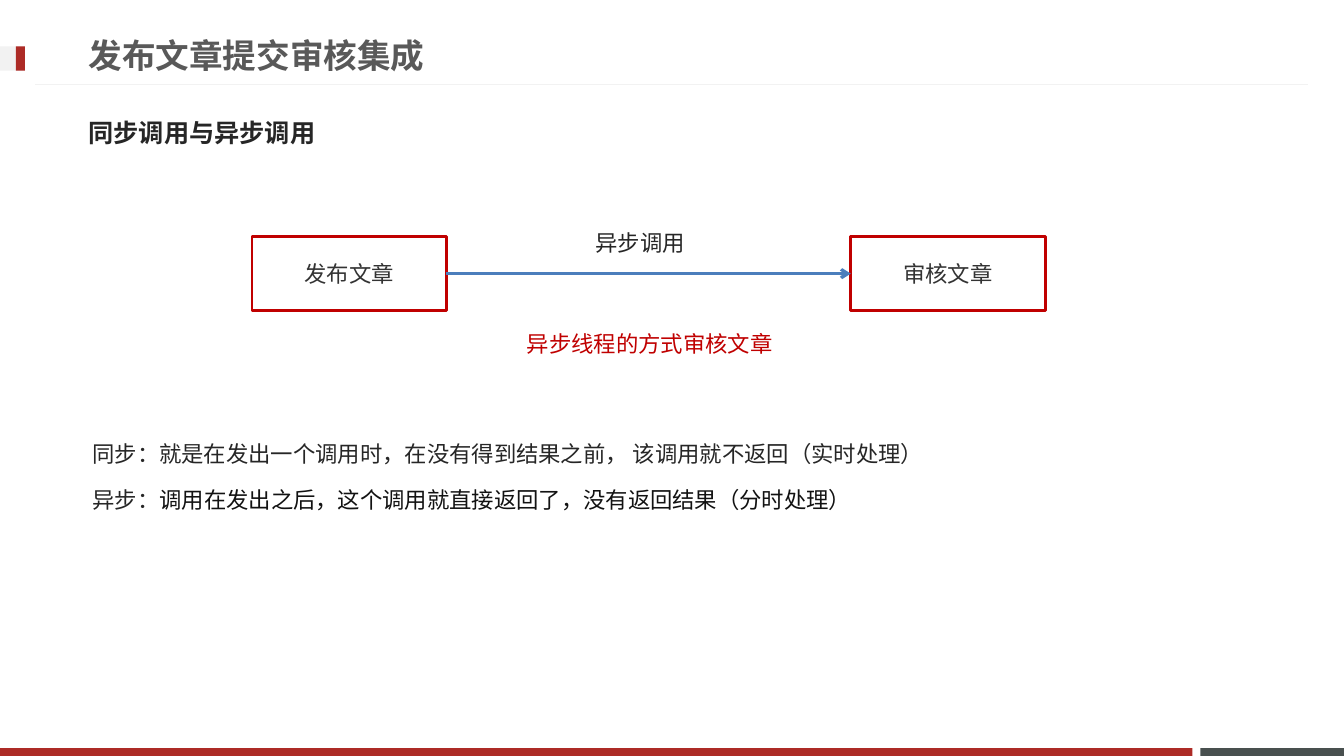
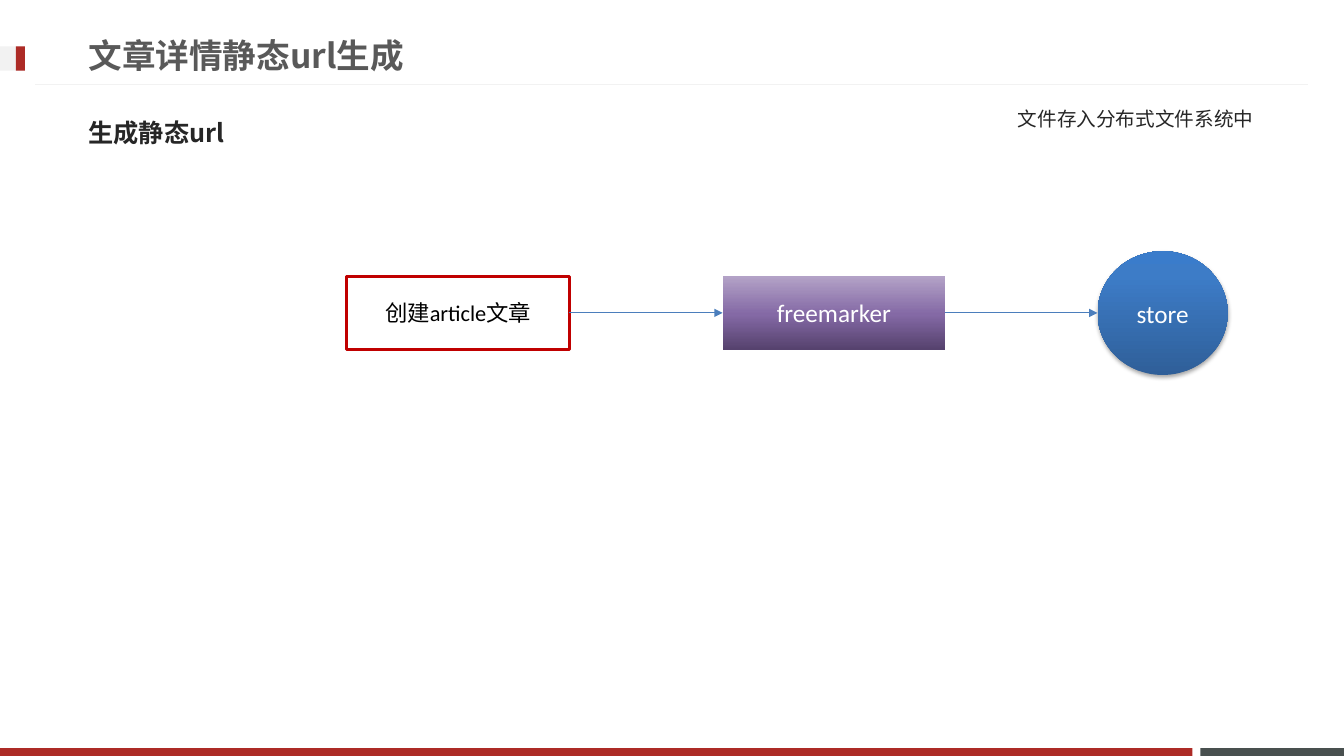
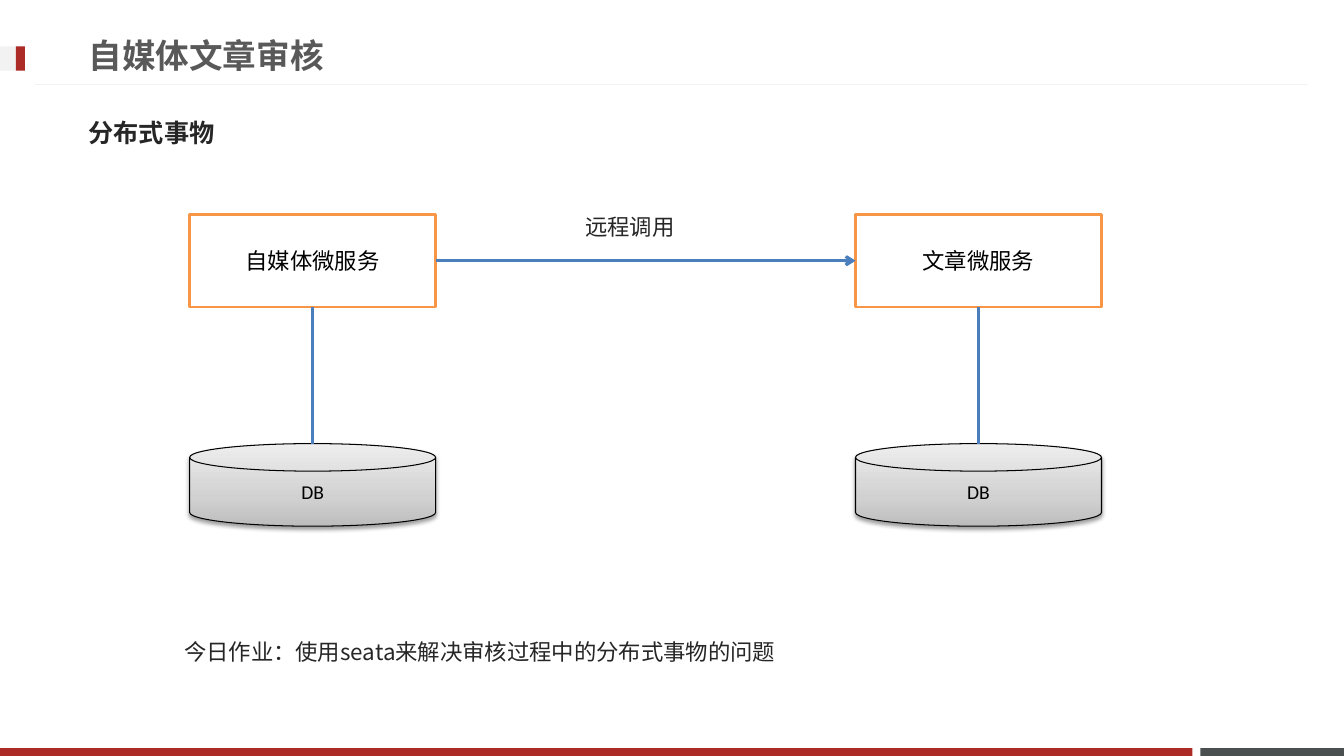
from lxml import etree
from pptx import Presentation
from pptx import util as u
from pptx.dml.color import RGBColor
from pptx.enum import dml, lang, shapes, text
from pptx.oxml.ns import qn

NOTO, CALI = "Noto Sans CJK JP", "Calibri"
RED, SLATE, PALE = "AD2B26", "49504F", "F2F2F2"
INK, BLUE, CRIMSON, ORANGE = "262626", "4B7EBC", "C00000", "F79646"
WHITE, BLACK = "FFFFFF", "000000"
PURPLE = [(0, "56426E"), (48, "8469A5"), (100, "B3A2C7")]
AZURE = [(0, "2F5F99"), (80, "3D7CC7"), (100, "3A7CCB")]
SILVER = [(0, "BDBDBD"), (35, "D1D1D1"), (100, "EEEEEE")]
RECT = shapes.MSO_SHAPE.RECTANGLE
OVAL = shapes.MSO_SHAPE.OVAL
DISK = shapes.MSO_SHAPE.FLOWCHART_MAGNETIC_DISK


def rgb(code):
    return RGBColor.from_string(code)


def node(parent, tag, **attrs):
    return etree.SubElement(parent, qn(tag), attrs)


def style(run, size, color, face=NOTO, bold=False):
    font = run.font
    font.size, font.bold, font.name = u.Pt(size), bold, face
    font.color.rgb = rgb(color)
    font.language_id = lang.MSO_LANGUAGE_ID.SIMPLIFIED_CHINESE
    east = etree.Element(qn("a:ea"), typeface=NOTO)
    run._r.rPr.find(qn("a:latin")).addnext(east)


def write(slide, place, lines, size=16, color=INK, bold=False, loose=True):
    """Add a text box: loose lines from the top, or tight ones in the middle."""
    box = slide.shapes.add_textbox(*map(u.Cm, place))
    frame = box.text_frame
    frame.word_wrap = True
    frame.text = lines
    if not loose:
        frame.vertical_anchor = text.MSO_ANCHOR.MIDDLE
    for para in frame.paragraphs:
        if loose:
            para.line_spacing = u.Pt(round(size * 1.83, 1))
            para.space_after = u.Pt(size * 0.2)
        for run in para.runs:
            style(run, size, color, bold=bold)
    return frame


def blend(shape, stops):
    """Fill with a gradient that runs from bottom to top."""
    shape.fill.gradient()
    shape.fill.gradient_angle = 90
    chain = shape._element.spPr.find(".//" + qn("a:gsLst"))
    for old in list(chain):
        chain.remove(old)
    for place, color in stops:
        stop = node(chain, "a:gs", pos=str(place * 1000))
        node(stop, "a:srgbClr", val=color)


def shade(shape, alpha):
    effects = shape._element.spPr.find(qn("a:effectLst"))
    cast = node(effects, "a:outerShdw", blurRad=str(u.Pt(3.1)),
                dist=str(u.Pt(1.7)), dir="5400000", rotWithShape="0")
    tint = node(cast, "a:srgbClr", val=BLACK)
    node(tint, "a:alpha", val=str(alpha * 1000))


def block(slide, place, words="", kind=RECT, fill=None, edge=None,
          width=2, size=16, color=BLACK, shadow=0):
    """Add a shape; fill is a colour, a list of gradient stops or None."""
    shape = slide.shapes.add_shape(kind, *map(u.Cm, place))
    shape.shadow.inherit = False
    if fill is None:
        shape.fill.background()
    elif isinstance(fill, list):
        blend(shape, fill)
    else:
        shape.fill.solid()
        shape.fill.fore_color.rgb = rgb(fill)
    if edge:
        shape.line.color.rgb = rgb(edge)
        shape.line.width = u.Pt(width)
    else:
        shape.line.fill.background()
    if shadow:
        shade(shape, shadow)
    if words:
        frame = shape.text_frame
        frame.text = words
        frame.vertical_anchor = text.MSO_ANCHOR.MIDDLE
        para = frame.paragraphs[0]
        para.alignment = text.PP_ALIGN.CENTER
        style(para.runs[0], size, color, CALI)
    return shape


def rule(slide, start, end, color, width, head=None):
    line = slide.shapes.add_connector(shapes.MSO_CONNECTOR.STRAIGHT, *start, *end)
    line.line.color.rgb = rgb(color)
    line.line.width = u.Pt(width)
    if head:
        node(line.line._get_or_add_ln(), "a:tailEnd", type=head)
    node(line._element.spPr, "a:effectLst")
    return line


def link(slide, first, last, width=2.25, head=None, down=False):
    """Join two shapes, across or downwards, gluing ends on rectangles."""
    if down:
        mid = first.left + first.width // 2
        start, end = (mid, first.top + first.height), (mid, last.top)
    else:
        mid = first.top + first.height // 2
        start, end = (first.left + first.width, mid), (last.left, mid)
    line = rule(slide, start, end, BLUE, width, head)
    if first.auto_shape_type == RECT:
        line.begin_connect(first, 2 if down else 3)
    if last.auto_shape_type == RECT:
        line.end_connect(last, 0 if down else 1)


def page(deck, title, topic):
    """Add a slide with the shared bands, title and topic."""
    slide = deck.slides.add_slide(deck.slide_layouts[6])
    block(slide, (30.25, 18.85, 3.62, 0.2), fill=SLATE)
    block(slide, (0, 18.85, 30.05, 0.2), fill=RED)
    rule(slide, (u.Cm(0.89), u.Cm(2.13)), (u.Cm(32.97), u.Cm(2.13)), PALE, 0.75)
    block(slide, (0, 1.17, 0.63, 0.61), fill=PALE)
    block(slide, (0.4, 1.17, 0.23, 0.61), fill=RED)
    write(slide, (1.98, 0.66, 24.36, 1.45), title, 24, "595959", True, False)
    write(slide, (1.98, 2.62, 29.72, 1.45), topic, 18, INK, True, False)
    return slide


def calls(deck):
    slide = page(deck, "发布文章提交审核集成", "同步调用与异步调用")
    post, check = [
        block(slide, (x, 5.97, 4.9, 1.85), words, edge=CRIMSON, color="333333")
        for x, words in ((6.35, "发布文章"), (21.44, "审核文章"))]
    link(slide, post, check, head="arrow")
    write(slide, (14.76, 5.28, 3.66, 1.42), "异步调用")
    write(slide, (13.03, 7.85, 7.11, 1.42), "异步线程的方式审核文章", color=CRIMSON)
    terms = write(slide, (2.08, 10.62, 29.72, 3.07),
                  "同步：就是在发出一个调用时，在没有得到结果之前， 该调用就不返回（实时处理）\n异步：")
    run = terms.paragraphs[1].add_run()
    run.text = "调用在发出之后，这个调用就直接返回了，没有返回结果（分时处理）"
    style(run, 16, "121212", CALI)


def static(deck):
    slide = page(deck, "文章详情静态url生成", "生成静态url")
    write(slide, (25.4, 2.26, 7.49, 1.37), "文件存入分布式文件系统中", 14)
    made = block(slide, (8.74, 6.96, 5.61, 1.85), "创建article文章", edge=CRIMSON)
    engine = block(slide, (18.21, 6.96, 5.61, 1.85), "freemarker",
                   fill=PURPLE, size=18, color=WHITE)
    store = block(slide, (27.66, 6.33, 3.28, 3.12), "store", OVAL,
                  fill=AZURE, size=18, color=WHITE, shadow=35)
    link(slide, made, engine, 0.75, "triangle")
    link(slide, engine, store, 0.75, "triangle")


def spread(deck):
    slide = page(deck, "自媒体文章审核", "分布式事物")
    hosts = []
    for x, words in ((4.78, "自媒体微服务"), (21.56, "文章微服务")):
        host = block(slide, (x, 5.4, 6.2, 2.34), words, fill=WHITE, edge=ORANGE)
        base = block(slide, (x, 11.18, 6.2, 2.08), "DB", DISK, fill=SILVER,
                     edge=BLACK, width=0.75, size=14, shadow=38)
        link(slide, host, base, down=True)
        hosts.append(host)
    link(slide, *hosts, head="arrow")
    write(slide, (14.5, 4.9, 3.2, 1.35), "远程调用")
    write(slide, (4.39, 15.6, 20.27, 1.7),
          "今日作业：使用seata来解决审核过程中的分布式事物的问题")


def main():
    deck = Presentation()
    deck.slide_width, deck.slide_height = u.Cm(33.87), u.Cm(19.05)
    calls(deck)
    static(deck)
    spread(deck)
    deck.save("out.pptx")


if __name__ == "__main__":
    main()
